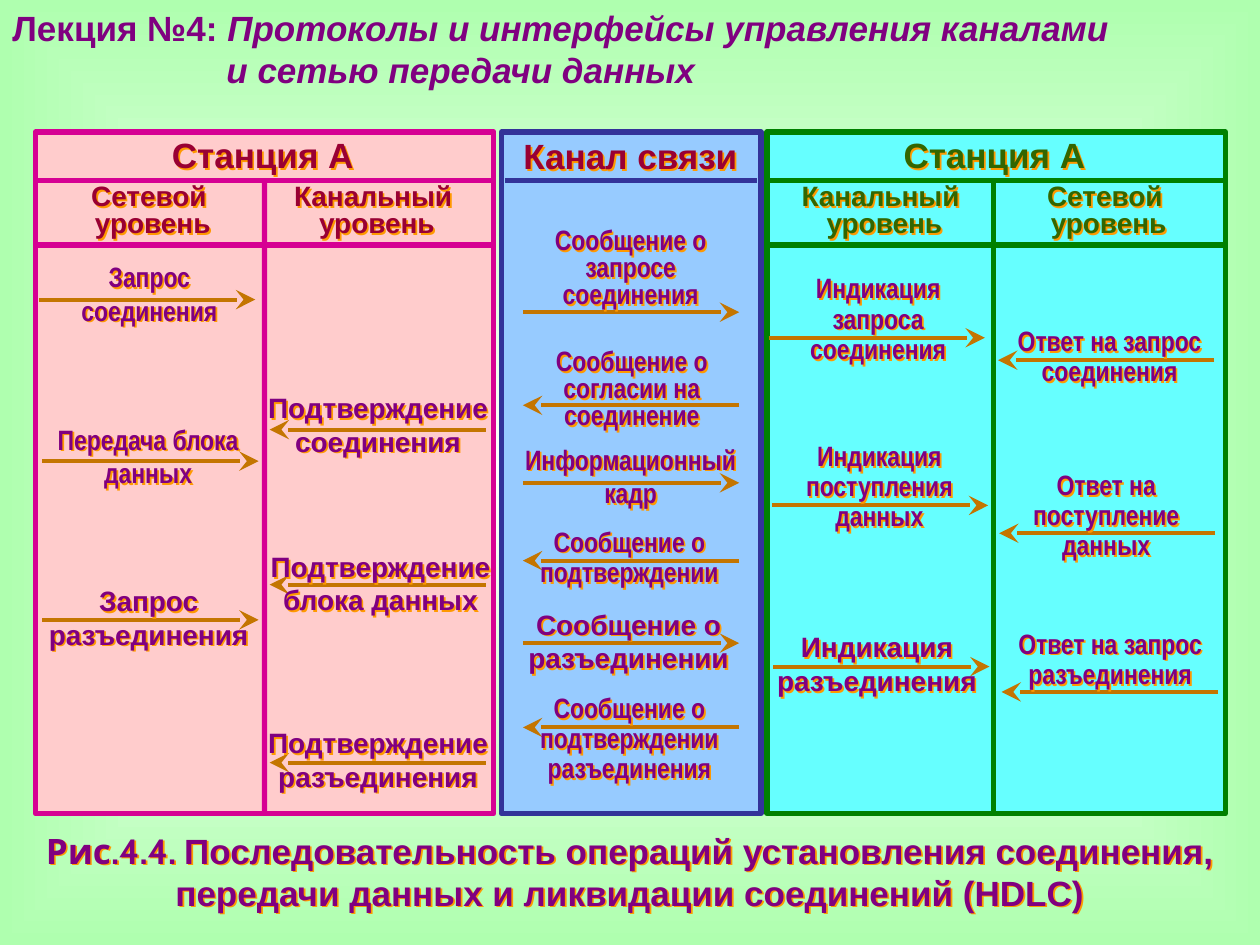
from dataclasses import dataclass

import pptx
import pptx.dml.color
import pptx.enum.dml
import pptx.enum.shapes
import pptx.enum.text
import pptx.oxml
import pptx.oxml.ns
import pptx.util
from lxml import etree

Pt = pptx.util.Pt
RGBColor = pptx.dml.color.RGBColor
Align = pptx.enum.text.PP_ALIGN

WHITE = RGBColor(0xFF, 0xFF, 0xFF)
MINT = RGBColor(0xAF, 0xFF, 0xAF)
PURPLE = RGBColor(0x80, 0x00, 0x80)
CRIMSON = RGBColor(0x99, 0x00, 0x33)
OLIVE = RGBColor(0x33, 0x66, 0x00)
MAGENTA = RGBColor(0xD6, 0x00, 0x93)
GREEN = RGBColor(0x00, 0x80, 0x00)
INDIGO = RGBColor(0x33, 0x33, 0x99)
PINK = RGBColor(0xFF, 0xCC, 0xCC)
CYAN = RGBColor(0x66, 0xFF, 0xFF)
SKY = RGBColor(0x97, 0xCB, 0xFF)
BROWN = RGBColor(0xC4, 0x75, 0x00)
ORANGE = RGBColor(0xFF, 0x99, 0x00)

ARIAL = "Arial"
NARROW = "Arial Narrow"
ARROW_LENGTH = 123.6
FRAME_TOP, FRAME_HEIGHT = 75.4, 389.5
HEADER_BOTTOM, LEVEL_BOTTOM = 103, 140


@dataclass
class Station:
    left: float
    divider: float
    fill: RGBColor
    edge: RGBColor
    ink: RGBColor
    levels: tuple[str, str]
    width: float = 262


@dataclass
class Message:
    """An arrow and the label written across it."""
    arrow_left: float
    arrow_y: float
    rightward: bool
    left: float
    top: float
    width: float
    text: str
    font: str = NARROW
    spacing: float = 1
    lines: int = 2


STATIONS = [
    Station(20.2, 151.2, PINK, MAGENTA, CRIMSON, ("Сетевой", "Канальный")),
    Station(438.3, 567.6, CYAN, GREEN, OLIVE, ("Канальный", "Сетевой")),
]

MESSAGES = [
    # Station on the left, network level
    Message(22.3, 171.2, True, 24.5, 148.3, 121.7, "Запрос соединения"),
    Message(24.2, 263.5, True, 23.8, 241.2, 121.7, "Передача блока данных"),
    Message(24.2, 354.2, True, 18.7, 333.4, 132.5, "Запрос\nразъединения", ARIAL),
    # Station on the left, link level
    Message(154.1, 245.5, False, 149.8, 223.2, 132.5, "Подтверждение соединения", ARIAL),
    Message(154.1, 334.1, False, 151.2, 313.9, 132.5, "Подтверждение блока данных", ARIAL),
    Message(154.1, 435.8, False, 149.8, 414.7, 132.5, "Подтверждение разъединения", ARIAL),
    # Channel
    Message(298.8, 178.4, True, 299.5, 131, 121.7, "Сообщение о запросе соединения",
            spacing=0.8, lines=3),
    Message(298.8, 231.6, False, 300.2, 200.2, 121.7, "Сообщение о согласии на соединение",
            spacing=0.8, lines=3),
    Message(298.8, 275.9, True, 285.1, 252.7, 150.5, "Информационный кадр"),
    Message(298.8, 320.4, False, 284.4, 301.7, 150.5, "Сообщение о\nподтверждении", spacing=0.9),
    Message(298.8, 367.5, True, 293, 347, 132.5, "Сообщение о\nразъединении", ARIAL),
    Message(298.8, 415.7, False, 284.4, 396.7, 150.5, "Сообщение о\nподтверждении\nразъединения",
            spacing=0.9, lines=3),
    # Station on the right, link level
    Message(439.2, 193, True, 442.1, 157, 119.5, "Индикация запроса соединения",
            spacing=0.9, lines=3),
    Message(441.1, 288.8, True, 442.8, 252.7, 119.5, "Индикация поступления данных",
            spacing=0.9, lines=3),
    Message(441.9, 380.9, True, 434.9, 360, 132.5, "Индикация\nразъединения", ARIAL),
    # Station on the right, network level
    Message(570.3, 205.8, False, 567.4, 187.2, 133.2, "Ответ на запрос соединения", spacing=0.9),
    Message(570.9, 304.7, False, 572.4, 269.3, 119.5, "Ответ на поступление данных",
            spacing=0.9, lines=3),
    Message(572.3, 395.4, False, 574.6, 360, 119.5, "Ответ на запрос разъединения",
            spacing=0.9, lines=3),
]


def add_text(page, left: float, top: float, width: float, text: str, *, size=16, font=ARIAL,
             color=PURPLE, align=Align.CENTER, spacing=1.0, lines=2, inset=(0, 0),
             indent=0.0, italic=False, lead="", lead_font=ARIAL, shadow=True):
    """Write bold text; indent moves every line after the first, lead opens the first."""
    height = lines * size * 1.2 * spacing + 2 * inset[1]
    box = page.shapes.add_textbox(Pt(left), Pt(top), Pt(width), Pt(height))
    frame = box.text_frame
    frame.word_wrap = True
    frame.margin_left = frame.margin_right = Pt(inset[0])
    frame.margin_top = frame.margin_bottom = Pt(inset[1])
    for index, line in enumerate(text.split("\n")):
        para = frame.paragraphs[0] if index == 0 else frame.add_paragraph()
        para.alignment = align
        para.line_spacing = spacing
        if index and indent:
            para._p.get_or_add_pPr().set("marL", str(Pt(indent)))
        pieces = [(line, font, italic)]
        if lead and index == 0:
            pieces.insert(0, (lead, lead_font, False))
        for words, face, slanted in pieces:
            span = para.add_run()
            span.text = words
            span.font.name = face
            span.font.size = Pt(size)
            span.font.bold = True
            span.font.italic = slanted
            span.font.color.rgb = color
    if shadow:
        effects = etree.SubElement(box._element.spPr, pptx.oxml.ns.qn("a:effectLst"))
        outer = etree.SubElement(effects, pptx.oxml.ns.qn("a:outerShdw"),
                                 dist=str(Pt(1.4)), dir="2700000", algn="ctr")
        etree.SubElement(outer, pptx.oxml.ns.qn("a:srgbClr"), val=str(ORANGE))
    return box


def add_frame(page, left: float, width: float, fill: RGBColor, edge: RGBColor):
    frame = page.shapes.add_shape(pptx.enum.shapes.MSO_SHAPE.RECTANGLE, Pt(left),
                                  Pt(FRAME_TOP), Pt(width), Pt(FRAME_HEIGHT))
    frame.shadow.inherit = False
    frame.fill.solid()
    frame.fill.fore_color.rgb = fill
    frame.line.color.rgb = edge
    frame.line.width = Pt(3)
    return frame


def add_line(page, x1: float, y1: float, x2: float, y2: float, color: RGBColor,
             weight=3.0, arrow=False):
    line = page.shapes.add_connector(pptx.enum.shapes.MSO_CONNECTOR.STRAIGHT,
                                     Pt(x1), Pt(y1), Pt(x2), Pt(y2))
    line.line.color.rgb = color
    line.line.width = Pt(weight)
    if arrow:
        etree.SubElement(line.line._get_or_add_ln(), pptx.oxml.ns.qn("a:tailEnd"),
                         type="stealth", w="lg", len="lg")
    etree.SubElement(line._element.spPr, pptx.oxml.ns.qn("a:effectLst"))
    return line


def add_station(page, station: Station) -> None:
    right = station.left + station.width
    frame = add_frame(page, station.left, station.width, station.fill, station.edge)
    for y in (HEADER_BOTTOM, LEVEL_BOTTOM):
        add_line(page, station.left, y, right, y, station.edge)
    divider = add_line(page, station.divider, HEADER_BOTTOM, station.divider,
                       FRAME_TOP + FRAME_HEIGHT, station.edge)
    if abs(station.left + station.width / 2 - station.divider) < 0.1:
        divider.end_connect(frame, 2)
    add_text(page, station.left + 28.8, 76.3, 202.3, "Станция А", size=20,
             color=station.ink, lines=1)
    for level, offset in zip(station.levels, (4.4, 132.5)):
        add_text(page, station.left + offset, 106, 121, f"{level}\nуровень",
                 color=station.ink, spacing=0.8, indent=4.4)


def paint_background(page) -> None:
    fill = page.background.fill
    fill.gradient()
    for stop, color in zip(fill.gradient_stops, (WHITE, MINT)):
        stop.color.rgb = color
    linear = page._element.find(".//" + pptx.oxml.ns.qn("a:lin"))
    shaped = pptx.oxml.parse_xml(
        f'<a:path {pptx.oxml.ns.nsdecls("a")} path="shape">'
        '<a:fillToRect l="50000" t="50000" r="50000" b="50000"/></a:path>')
    linear.getparent().replace(linear, shaped)


def main() -> None:
    deck = pptx.Presentation()
    deck.slide_width, deck.slide_height = Pt(720), Pt(540)
    page = deck.slides.add_slide(deck.slide_layouts[6])
    paint_background(page)

    # Title
    add_text(page, 0, 0, 650, "Протоколы и интерфейсы управления каналами\nи сетью передачи данных",
             lead="Лекция №4: ", size=20, italic=True, align=Align.LEFT, indent=122.3,
             inset=(7.2, 3.6), shadow=False)

    # Channel and stations
    add_frame(page, 286.6, 148.3, SKY, INDIGO)
    add_text(page, 289.4, 77, 141.8, "Канал связи", size=20, color=CRIMSON, lines=1)
    add_line(page, 288.7, HEADER_BOTTOM, 432.7, HEADER_BOTTOM, INDIGO)
    for station in STATIONS:
        add_station(page, station)

    # Arrows, then their labels above them
    for message in MESSAGES:
        ends = [message.arrow_left, message.arrow_left + ARROW_LENGTH]
        start, finish = ends if message.rightward else reversed(ends)
        add_line(page, start, message.arrow_y, finish, message.arrow_y, BROWN, 2.25, arrow=True)
    for message in MESSAGES:
        add_text(page, message.left, message.top, message.width, message.text,
                 font=message.font, spacing=message.spacing, lines=message.lines)

    # Caption
    add_text(page, 0, 470.2, 720, "Последовательность операций установления соединения, "
             "передачи данных и ликвидации соединений (HDLC)", lead="Рис.4.4. ",
             lead_font="Cabin", size=20, inset=(7.2, 3.6))

    deck.save("out.pptx")


if __name__ == "__main__":
    main()
